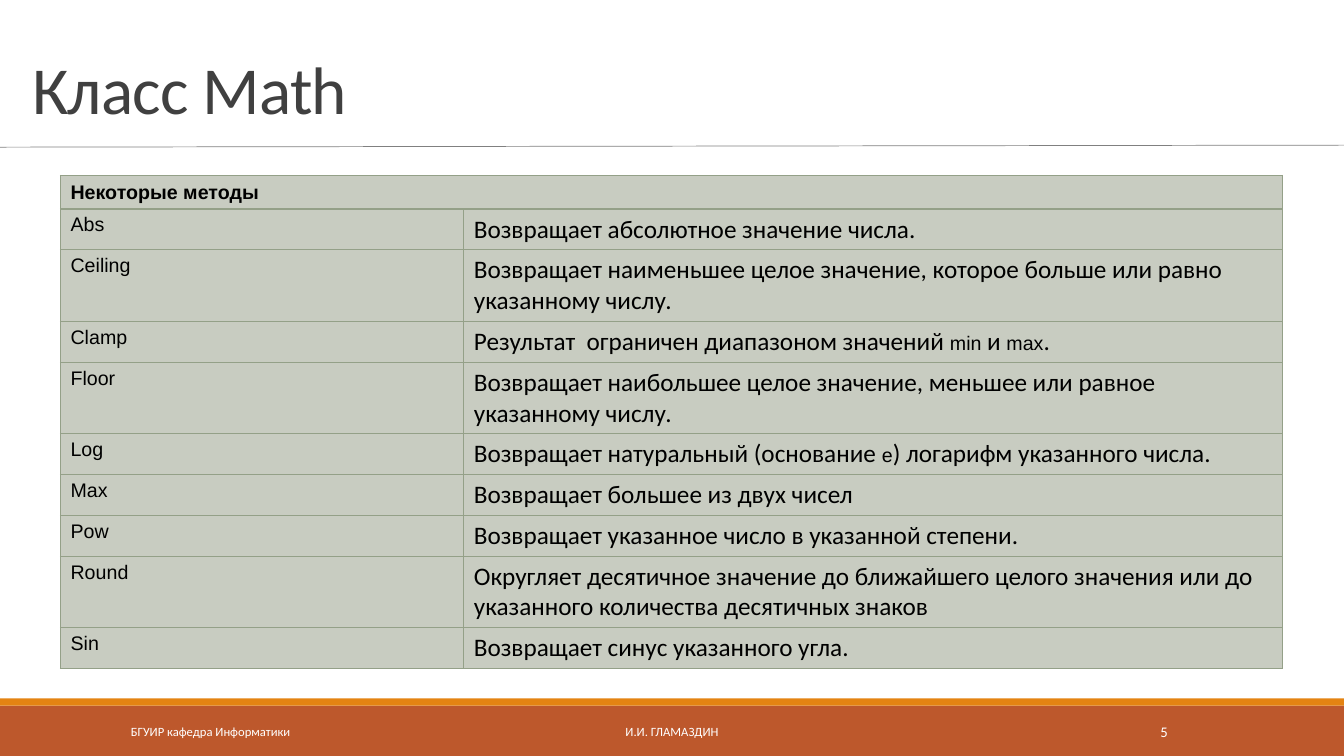
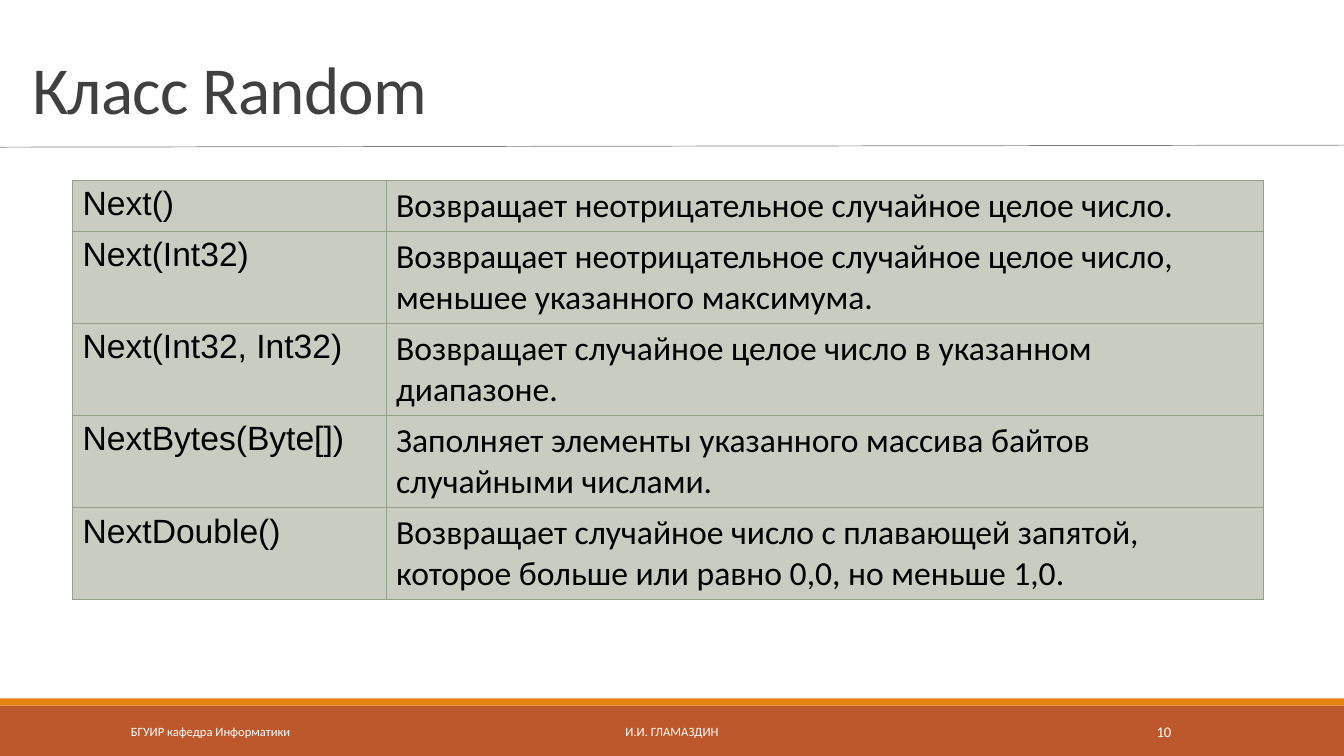
from lxml.etree import SubElement
from pptx import Presentation
from pptx.dml.color import RGBColor
from pptx.enum.shapes import MSO_CONNECTOR, MSO_SHAPE
from pptx.enum.text import MSO_ANCHOR, PP_ALIGN
from pptx.oxml.ns import qn
from pptx.util import Inches, Pt

WHITE = RGBColor(0xFF, 0xFF, 0xFF)
BLACK = RGBColor(0x00, 0x00, 0x00)
TITLE_GREY = RGBColor(0x40, 0x40, 0x40)
RULE_GREY = RGBColor(0x80, 0x80, 0x80)
RUST = RGBColor(0xBD, 0x58, 0x2C)
ORANGE = RGBColor(0xE4, 0x83, 0x12)
CELL_GREEN = RGBColor(0xC8, 0xCC, 0xC1)
BORDER_GREEN = RGBColor(0x94, 0xA0, 0x88)

TEXT_FONT, CODE_FONT = "Calibri", "Arial"
DEPARTMENT = "БГУИР кафедра Информатики"
AUTHOR = "И.И. ГЛАМАЗДИН"

# Rows: method, description (code between backticks), lines of description
MATH_METHODS = [
    ("Abs", "Возвращает абсолютное значение числа.", 1),
    ("Ceiling", "Возвращает наименьшее целое значение, которое больше или равно "
                "указанному числу.", 2),
    ("Clamp", "Результат ` `ограничен диапазоном значений `min `и `max`.", 1),
    ("Floor", "Возвращает наибольшее целое значение, меньшее или равное "
              "указанному числу.", 2),
    ("Log", "Возвращает натуральный (основание `e`) логарифм указанного числа.", 1),
    ("Max", "Возвращает большее из двух чисел", 1),
    ("Pow", "Возвращает указанное число в указанной степени.", 1),
    ("Round", "Округляет десятичное значение до ближайшего целого значения или до "
              "указанного количества десятичных знаков", 2),
    ("Sin", "Возвращает синус указанного угла.", 1),
]
RANDOM_METHODS = [
    ("Next()", "Возвращает неотрицательное случайное целое число.", 1),
    ("Next(Int32)", "Возвращает неотрицательное случайное целое число, "
                    "меньшее указанного максимума.", 2),
    ("Next(Int32, Int32)", "Возвращает случайное целое число в указанном диапазоне.", 2),
    ("NextBytes(Byte[])", "Заполняет элементы указанного массива байтов "
                          "случайными числами.", 2),
    ("NextDouble()", "Возвращает случайное число с плавающей запятой, "
                     "которое больше или равно 0,0, но меньше 1,0.", 2),
]


def style_run(run, size, color, font=TEXT_FONT, bold=False):
    run.font.name, run.font.size, run.font.bold = font, Pt(size), bold
    run.font.color.rgb = color


class Deck:
    def __init__(self):
        self.prs = Presentation()
        self.prs.slide_width, self.prs.slide_height = Inches(13.33), Inches(7.5)
        self.slide = None

    def add_slide(self, title, number):
        self.slide = self.prs.slides.add_slide(self.prs.slide_layouts[6])
        # Footer bands and the rule below the title
        self.band(7, 0.5, RUST)
        self.band(6.93, 0.07, ORANGE)
        self.rule((0, 1.46), (13.37, 1.44))
        # Title
        heading = self.text(title, (0.22, 0.31, 12.89, 1.01), 48, TITLE_GREY,
                            anchor=MSO_ANCHOR.BOTTOM)
        heading.line_spacing = 0.85
        heading.runs[0].font._element.set("spc", "-50")
        # Footer texts
        self.text(number, (10.83, 7.06, 1.43, 0.4), 10.5, WHITE, PP_ALIGN.CENTER)
        self.text(DEPARTMENT, (1.2, 7.06, 2.7, 0.4), 9, WHITE)
        self.text(AUTHOR, (4.03, 7.06, 5.27, 0.4), 9, WHITE, PP_ALIGN.CENTER)

    def band(self, top, height, color):
        band = self.slide.shapes.add_shape(
            MSO_SHAPE.RECTANGLE, 0, Inches(top), self.prs.slide_width, Inches(height))
        band.shadow.inherit = False
        band.fill.solid()
        band.fill.fore_color.rgb = color
        band.line.fill.background()

    def rule(self, start, end):
        rule = self.slide.shapes.add_connector(
            MSO_CONNECTOR.STRAIGHT, *(Inches(v) for v in start + end))
        rule.line.color.rgb = RULE_GREY
        rule.line.width = Pt(0.5)
        SubElement(rule._element.spPr, qn("a:effectLst"))

    def text(self, words, box, size, color, align=PP_ALIGN.LEFT,
             anchor=MSO_ANCHOR.MIDDLE):
        frame = self.slide.shapes.add_textbox(*(Inches(v) for v in box)).text_frame
        frame.word_wrap = True
        frame.vertical_anchor = anchor
        frame.text = words
        paragraph = frame.paragraphs[0]
        paragraph.alignment = align
        style_run(paragraph.runs[0], size, color)
        return paragraph

    def methods_table(self, methods, left, top, widths, code_size, text_size,
                      header=None):
        # Row heights follow from the lines of text and the cell margins
        heights = [0.1 + lines * text_size * 1.22 / 72 for _, _, lines in methods]
        if header:
            heights.insert(0, 0.32)
        table = self.slide.shapes.add_table(
            len(heights), 2, Inches(left), Inches(top),
            Inches(sum(widths)), Inches(sum(heights))).table
        table.first_row = table.horz_banding = False
        for column, width in zip(table.columns, widths):
            column.width = Inches(width)
        for row, height in zip(table.rows, heights):
            row.height = Inches(height)
            for cell in row.cells:
                self.style_cell(cell)

        if header:
            heading = table.cell(0, 0)
            heading.merge(table.cell(0, 1))
            heading.vertical_anchor = MSO_ANCHOR.MIDDLE
            heading.text_frame.text = header
            style_run(heading.text_frame.paragraphs[0].runs[0], code_size, BLACK,
                      CODE_FONT, bold=True)
        for index, (method, description, _) in enumerate(methods, 1 if header else 0):
            name = table.cell(index, 0).text_frame
            name.text = method
            style_run(name.paragraphs[0].runs[0], code_size, BLACK, CODE_FONT)
            paragraph = table.cell(index, 1).text_frame.paragraphs[0]
            for part, words in enumerate(description.split("`")):
                run = paragraph.add_run()
                run.text = words
                if part % 2:
                    style_run(run, code_size, BLACK, CODE_FONT)
                else:
                    style_run(run, text_size, BLACK)

    def style_cell(self, cell):
        # Borders come before the fill in the cell properties
        properties = cell._tc.get_or_add_tcPr()
        for side in ("a:lnL", "a:lnR", "a:lnT", "a:lnB"):
            border = SubElement(properties, qn(side), w=str(Pt(1)))
            fill = SubElement(border, qn("a:solidFill"))
            SubElement(fill, qn("a:srgbClr"), val=str(BORDER_GREEN))
        cell.fill.solid()
        cell.fill.fore_color.rgb = CELL_GREEN


def main():
    deck = Deck()
    deck.add_slide("Класс Math", "5")
    deck.methods_table(MATH_METHODS, 0.6, 1.74, (4, 8.12), 14, 18,
                       header="Некоторые методы")
    deck.add_slide("Класс Random", "10")
    deck.methods_table(RANDOM_METHODS, 0.72, 1.79, (3.11, 8.7), 24, 24)
    deck.prs.save("out.pptx")


if __name__ == "__main__":
    main()
